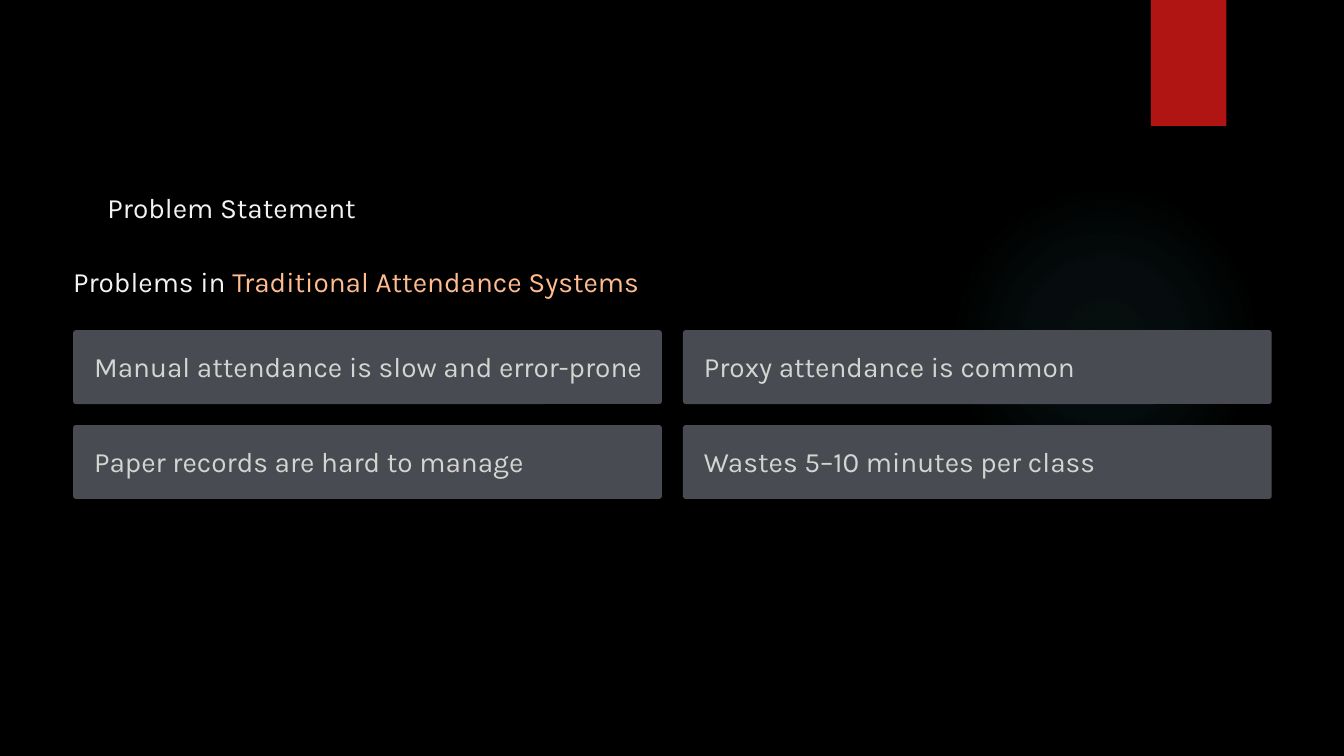
from lxml import etree
from pptx import Presentation
from pptx.dml.color import RGBColor
from pptx.enum.shapes import MSO_SHAPE
from pptx.util import Inches, Pt

ELLIPSE = MSO_SHAPE.OVAL
RECTANGLE = MSO_SHAPE.RECTANGLE
ROUNDED = MSO_SHAPE.ROUNDED_RECTANGLE
DRAWING_NS = "http://schemas.openxmlformats.org/drawingml/2006/main"

presentation = Presentation()
presentation.slide_width = Inches(16)
presentation.slide_height = Inches(9)
slide = presentation.slides.add_slide(presentation.slide_layouts[6])
slide.background.fill.solid()
slide.background.fill.fore_color.rgb = RGBColor.from_string("000000")


def add_block(preset, left, top, width, height, color):
    block = slide.shapes.add_shape(
        preset, Inches(left), Inches(top), Inches(width), Inches(height))
    block.shadow.inherit = False
    block.line.fill.background()
    block.fill.solid()
    block.fill.fore_color.rgb = RGBColor.from_string(color)
    return block


def add_line_of_text(left, top, width, height, spacing, parts):
    """Write one line from (text, color) parts."""
    box = slide.shapes.add_textbox(
        Inches(left), Inches(top), Inches(width), Inches(height))
    frame = box.text_frame
    frame.word_wrap = True
    frame.margin_left = frame.margin_right = 0
    frame.margin_top = frame.margin_bottom = 0
    paragraph = frame.paragraphs[0]
    paragraph.line_spacing = Pt(spacing)
    for text, color in parts:
        run = paragraph.add_run()
        run.text = text
        run.font.name = "Karla"
        run.font.size = Pt(24)
        run.font.color.rgb = RGBColor.from_string(color)


# Soft glow that fades out from its centre
glow = add_block(ELLIPSE, 11.3, 2.2, 3.7, 3.7, "50B9C1")
stops = "".join(
    f'<a:gs pos="{position * 1000}"><a:srgbClr val="50B9C1">'
    f'<a:alpha val="{opacity * 1000}"/></a:srgbClr></a:gs>'
    for position, opacity in [(0, 7), (36, 6), (69, 0), (100, 0)])
gradient = etree.fromstring(
    f'<a:gradFill xmlns:a="{DRAWING_NS}" rotWithShape="1"><a:gsLst>{stops}</a:gsLst>'
    '<a:path path="circle"><a:fillToRect l="50000" t="50000" r="50000" b="50000"/>'
    '</a:path></a:gradFill>')
glow_properties = glow._element.spPr
solid_fill = glow_properties.find(f"{{{DRAWING_NS}}}solidFill")
glow_properties.replace(solid_fill, gradient)

# Red ribbon at the top edge
add_block(RECTANGLE, 13.7, 0, 0.9, 1.5, "B01513")

# Title and heading
add_line_of_text(1.28, 2.29, 3.3, 0.4, 27.5, [("Problem Statement", "F3F3F2")])
add_line_of_text(0.87, 2.78, 12.55, 0.78, 55.5, [
    ("Problems in ", "F3F3F2"),
    ("Traditional Attendance Systems", "FFBC8F"),
])

# Problem cards in two columns
problems = [
    "Manual attendance is slow and error-prone",
    "Proxy attendance is common",
    "Paper records are hard to manage",
    "Wastes 5–10 minutes per class",
]
card_width, card_height, gap = 7.01, 0.88, 0.25
for index, problem in enumerate(problems):
    row, column = divmod(index, 2)
    left = 0.87 + column * (card_width + gap)
    top = 3.93 + row * (card_height + gap)
    card = add_block(ROUNDED, left, top, card_width, card_height, "484B51")
    card.adjustments[0] = 0.04
    add_line_of_text(left + gap, top + gap, card_width - gap, 0.39, 27.5,
                     [(problem, "D4D4D1")])

presentation.save("out.pptx")
